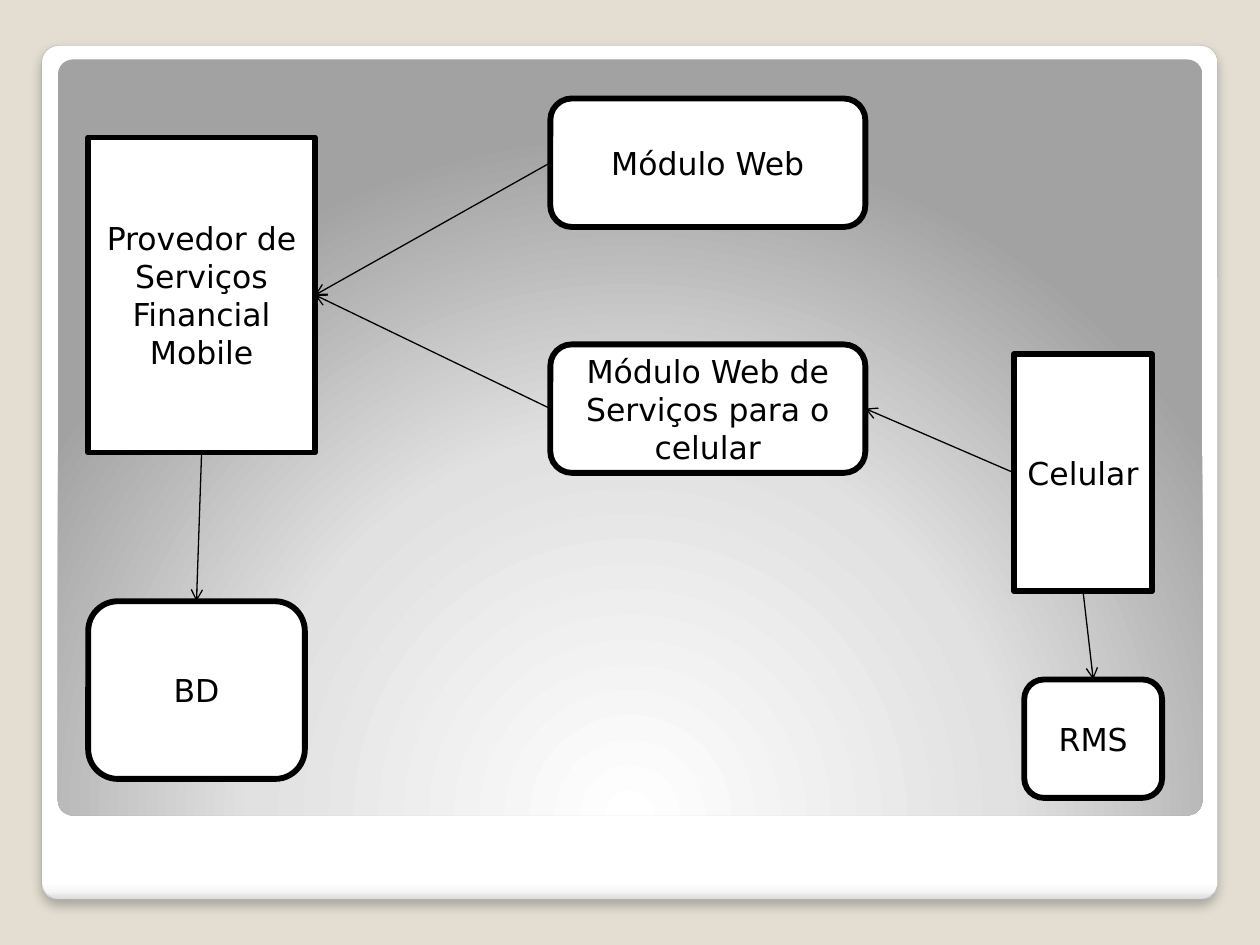
import lxml.etree
import pptx
import pptx.dml.color
import pptx.enum.shapes
import pptx.enum.text
import pptx.oxml.ns
import pptx.util

Pt = pptx.util.Pt
qn = pptx.oxml.ns.qn
KIND = pptx.enum.shapes.MSO_SHAPE
FONT = "DejaVu Sans"
COLORS = {"back": "E3DED1", "box": "FFFFFF", "ink": "000000", "edge": "A4A4A4"}
CARD = [(0, "FFFFFF"), (98, "FFFFFF"), (99, "F7F7F7"), (100, "DADADA")]
GLOW = [(0, "FFFFFF"), (55, "E1E1E1"), (100, "A2A2A2")]
TOP, LEFT, BOTTOM, RIGHT = range(4)
BOXES = {
    "server": (KIND.RECTANGLE, (17.4, 44.6, 129.6, 180), "Provedor de\nServiços\nFinancial Mobile"),
    "web": (KIND.ROUNDED_RECTANGLE, (281.5, 22.3, 180, 73.4), "Módulo Web"),
    "phone": (KIND.RECTANGLE, (546.5, 168.5, 78.8, 135.4), "Celular"),
    "base": (KIND.ROUNDED_RECTANGLE, (17.4, 309.6, 123.8, 101.5), "BD"),
    "store": (KIND.ROUNDED_RECTANGLE, (552.3, 354.3, 78.8, 67.7), "RMS"),
    "service": (KIND.ROUNDED_RECTANGLE, (281.5, 162.8, 180, 73.4),
                "Módulo Web de Serviços para o celular"),
}
LINKS = [
    ("phone", LEFT, "service", RIGHT),
    ("web", LEFT, "server", RIGHT),
    ("server", BOTTOM, "base", TOP),
    ("phone", BOTTOM, "store", TOP),
    ("service", LEFT, "server", RIGHT),
]


def tint(name):
    """Return the named colour."""
    return pptx.dml.color.RGBColor.from_string(COLORS[name])


def node(root, tag, **attrs):
    """Add a DrawingML child with the given attributes."""
    return lxml.etree.SubElement(root, qn(tag), {k: str(v) for k, v in attrs.items()})


def shade(shape, stops):
    """Give a shape a gradient and return it for its direction."""
    shape.fill.gradient()
    grad = shape._element.spPr.find(qn("a:gradFill"))
    for child in list(grad):
        grad.remove(child)
    items = node(grad, "a:gsLst")
    for place, color in stops:
        node(node(items, "a:gs", pos=place * 1000), "a:srgbClr", val=color)
    return grad


def panel(slide, box):
    """Add a rounded panel without shadow or line."""
    shape = slide.shapes.add_shape(KIND.ROUNDED_RECTANGLE, *map(Pt, box))
    shape.adjustments[0] = 0.02
    shape.shadow.inherit = False
    shape.line.fill.background()
    return shape


def frame(slide, box):
    """Draw the raised card and the glowing stage inside it."""
    left, top, width, height = box
    card = panel(slide, box)
    node(shade(card, CARD), "a:lin", ang=5400000, scaled=0)
    card.line.color.rgb = tint("edge")
    card.line.width = Pt(0.16)
    cast = node(card._element.spPr.find(qn("a:effectLst")), "a:outerShdw",
                blurRad=Pt(6), dist=Pt(4), dir=5400000, algn="t", rotWithShape=0)
    node(node(cast, "a:srgbClr", val=COLORS["ink"]), "a:alpha", val=25000)
    stage = panel(slide, (left + 9.3, top + 8, width - 18, height - 56))
    way = node(shade(stage, GLOW), "a:path", path="circle")
    node(way, "a:fillToRect", l=50000, t=175000, r=50000, b=-75000)


def block(slide, kind, box, text):
    """Add one outlined box with centred text."""
    shape = slide.shapes.add_shape(kind, *map(Pt, box))
    shape.shadow.inherit = False
    shape.fill.solid()
    shape.fill.fore_color.rgb = tint("box")
    shape.line.color.rgb = tint("ink")
    shape.line.width = Pt(3.35)
    body = shape.text_frame
    body.word_wrap = True
    body.margin_left = body.margin_right = Pt(5)
    body.vertical_anchor = pptx.enum.text.MSO_ANCHOR.MIDDLE
    body.text = text
    for para in body.paragraphs:
        para.alignment = pptx.enum.text.PP_ALIGN.CENTER
        para.font.name = FONT
        para.font.size = Pt(18)
        para.font.color.rgb = tint("ink")
    return shape


def link(slide, start, out, end, into):
    """Join two boxes with an arrow."""
    line = slide.shapes.add_connector(pptx.enum.shapes.MSO_CONNECTOR.STRAIGHT, 0, 0, 0, 0)
    line.begin_connect(start, out)
    line.end_connect(end, into)
    line.line.color.rgb = tint("ink")
    line.line.width = Pt(0.75)
    node(line.line._get_or_add_ln(), "a:tailEnd", type="arrow")
    node(line._element.spPr, "a:effectLst")


def chart(slide, box):
    """Draw the modules and their links inside the stage."""
    left, top = box[:2]
    made = {}
    for name, (kind, (x, y, width, height), text) in BOXES.items():
        made[name] = block(slide, kind, (left + x, top + y, width, height), text)
    for start, out, end, into in LINKS:
        link(slide, made[start], out, made[end], into)


def main():
    """Build and save the slide."""
    deck = pptx.Presentation()
    deck.slide_width, deck.slide_height = Pt(720), Pt(540)
    slide = deck.slides.add_slide(deck.slide_layouts[6])
    slide.background.fill.solid()
    slide.background.fill.fore_color.rgb = tint("back")
    frame(slide, (23.8, 26, 672, 488))
    chart(slide, (33, 34, 654, 432))
    deck.save("out.pptx")


if __name__ == "__main__":
    main()
